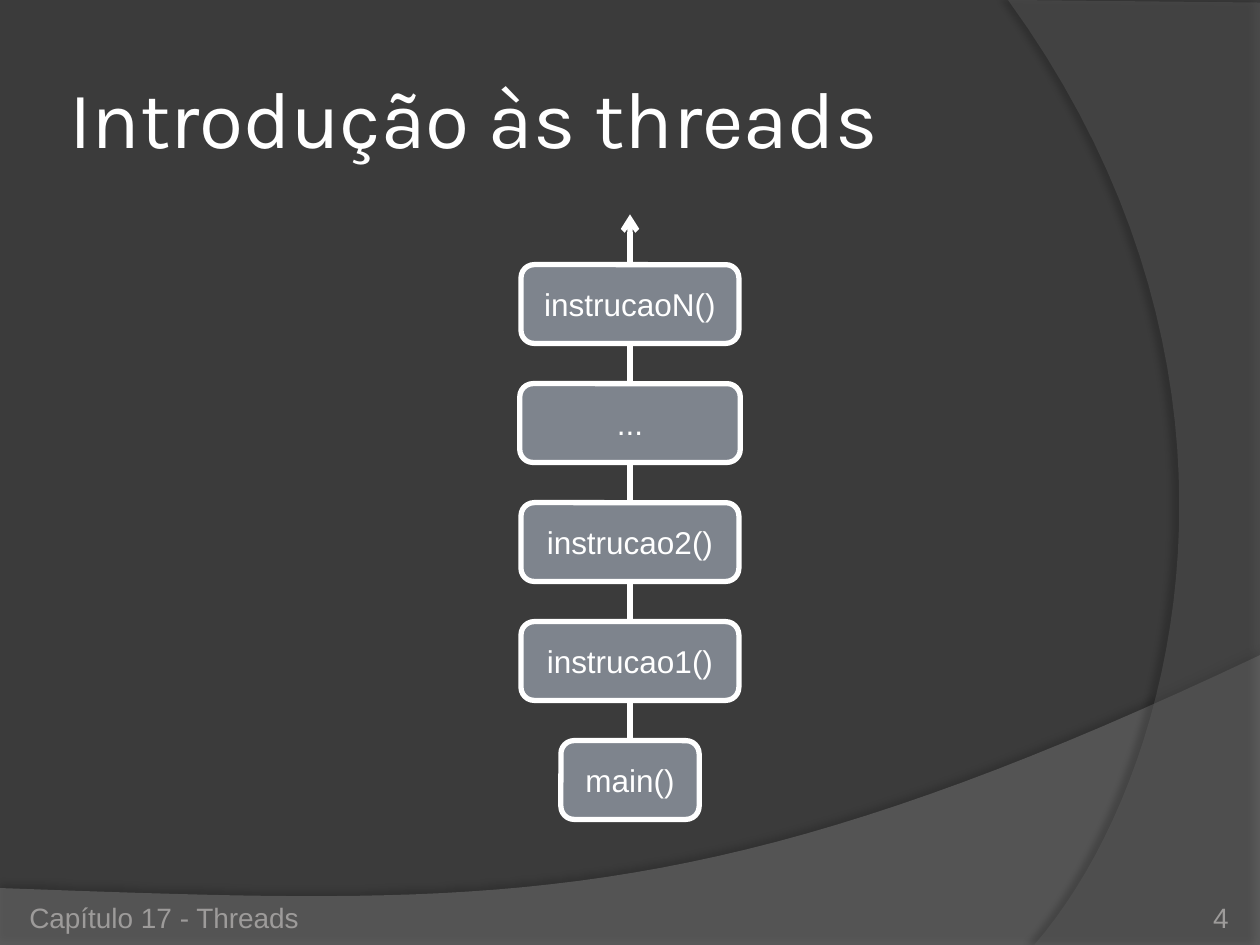
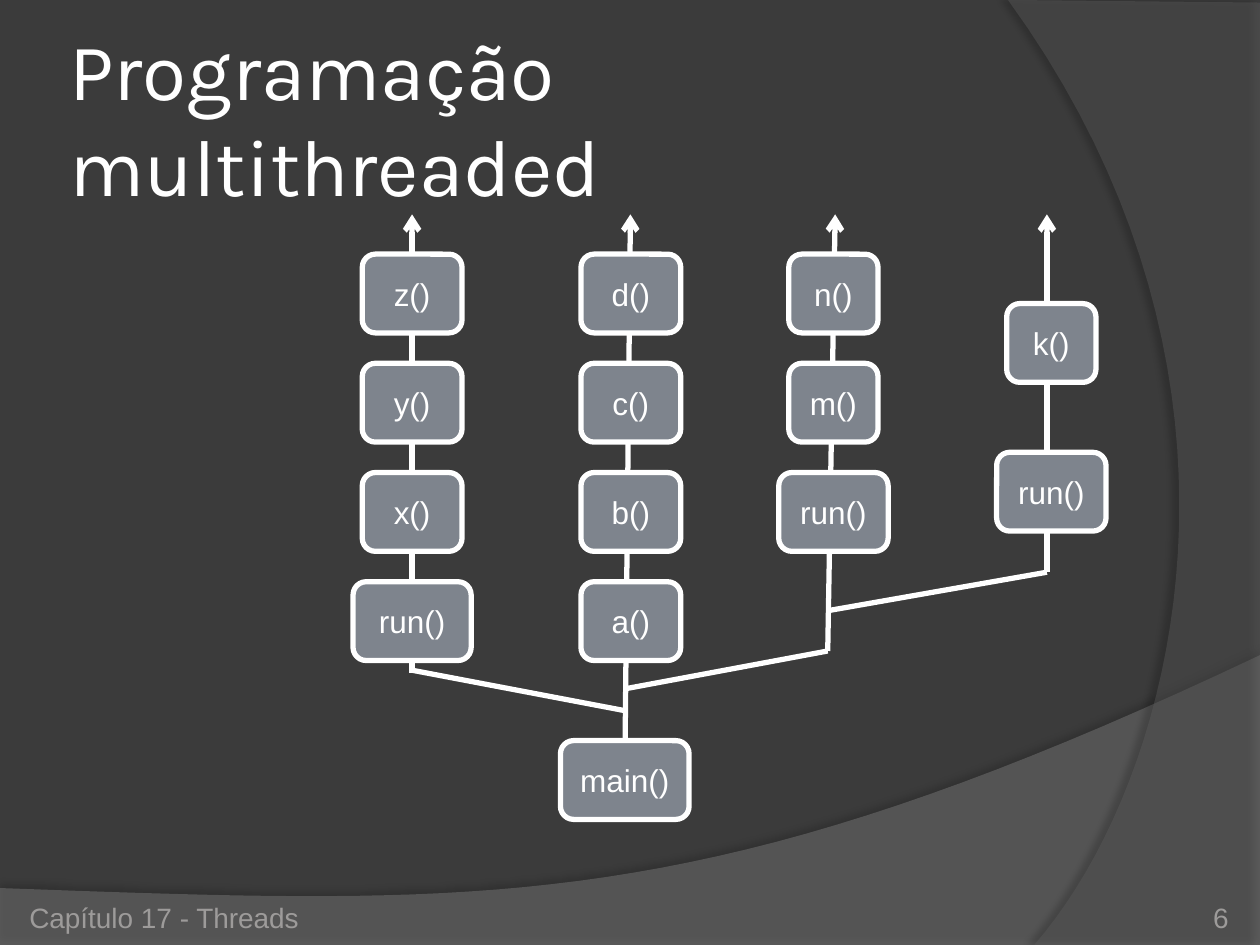
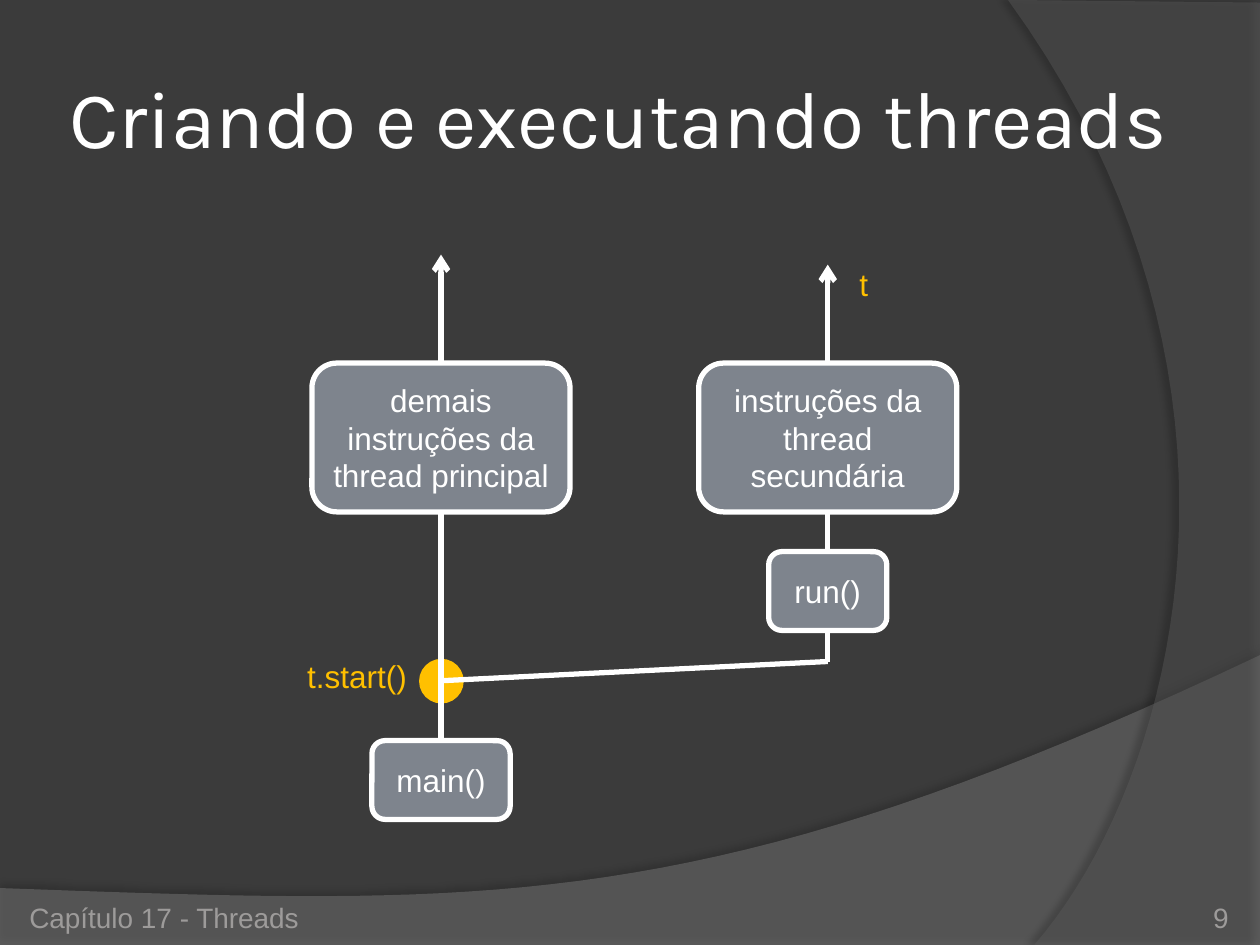
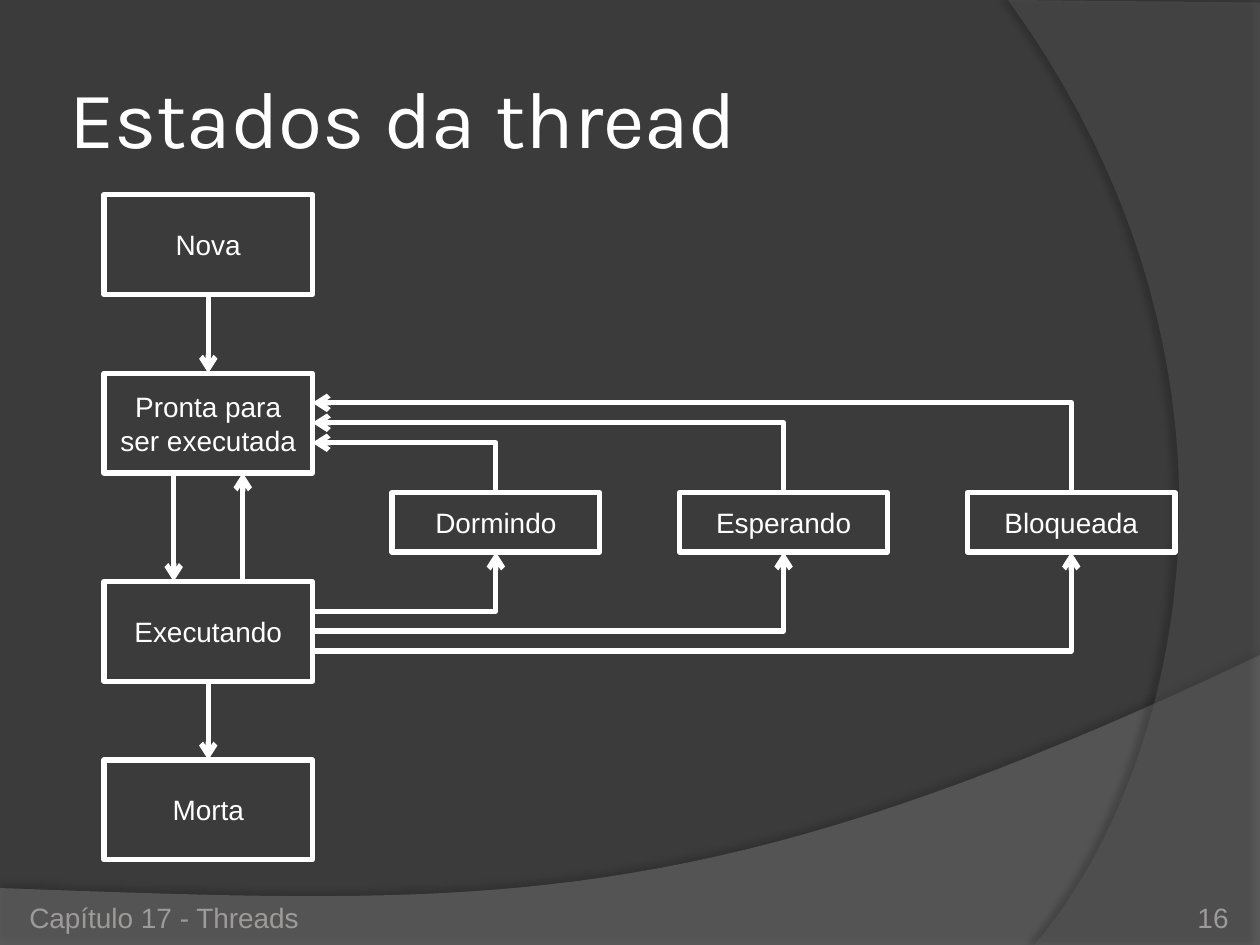
from collections import namedtuple

from lxml.etree import SubElement
from pptx import Presentation
from pptx.dml.color import RGBColor
from pptx.enum.shapes import MSO_CONNECTOR as LINK, MSO_SHAPE as SHAPE
from pptx.enum.text import MSO_ANCHOR as ANCHOR, PP_ALIGN as ALIGN
from pptx.oxml.ns import qn
from pptx.util import Pt

COLORS = {
    "background": "3B3B3B", "wave": "7F7F7F", "arc": "5E5E5E", "shade": "000000",
    "light": "FFFFFF", "call": "7E848D", "footer": "9D9B9A", "accent": "FFC000",
}
LINE_WIDTH = 3
CALL_HEIGHT = 45

Box = namedtuple("Box", "left top width height")
SLIDE = Box(0, 0, 720, 540)
TITLE = Box(36, 21.5, 588, 90)


def rgb(name):
    return RGBColor.from_string(COLORS[name])


def lengths(*values):
    return [Pt(value) for value in values]


# Text

def write(shape, text, font="Arial", size=18, color="light", align=ALIGN.CENTER,
          anchor=ANCHOR.MIDDLE, inset=None):
    frame = shape.text_frame
    frame.word_wrap = True
    frame.vertical_anchor = anchor
    if inset is not None:
        frame.margin_left = frame.margin_right = Pt(inset)
        frame.margin_top = frame.margin_bottom = Pt(inset)
    frame.text = text
    for paragraph in frame.paragraphs:
        paragraph.alignment = align
        paragraph.font.name = font
        paragraph.font.size = Pt(size)
        paragraph.font.color.rgb = rgb(color)


def label(slide, box, text, **style):
    write(slide.shapes.add_textbox(*lengths(*box)), text, **style)


# Shapes and lines

def outlined(slide, kind, box, fill=None, line="light"):
    shape = slide.shapes.add_shape(kind, *lengths(*box))
    shape.shadow.inherit = False
    if fill:
        shape.fill.solid()
        shape.fill.fore_color.rgb = rgb(fill)
    else:
        shape.fill.background()
    shape.line.color.rgb = rgb(line)
    shape.line.width = Pt(LINE_WIDTH)
    return shape


def link(slide, start, end, arrow=None, bent=False):
    """Joins two points; arrow is "tailEnd" (at end) or "headEnd" (at start)."""
    kind = LINK.ELBOW if bent else LINK.STRAIGHT
    connector = slide.shapes.add_connector(kind, *lengths(*start, *end))
    connector.line.color.rgb = rgb("light")
    connector.line.width = Pt(LINE_WIDTH)
    properties = connector.element.spPr
    if bent:
        properties.find(qn("a:prstGeom")).set("prst", "bentConnector2")
    if arrow:
        SubElement(properties.find(qn("a:ln")), qn(f"a:{arrow}"), type="arrow")
    SubElement(properties, qn("a:effectLst"))


# Shared background, title and footer

def curve(start, control1, control2, end, steps=40):
    """Points along a cubic curve, without its start."""
    points = []
    for step in range(1, steps + 1):
        t = step / steps
        weights = (1 - t) ** 3, 3 * t * (1 - t) ** 2, 3 * t ** 2 * (1 - t), t ** 3
        points.append(tuple(
            sum(weight * value for weight, value in zip(weights, axis))
            for axis in zip(start, control1, control2, end)))
    return points


def band(slide, points, color, opacity, shade, distance, direction):
    outline = [lengths(*point) for point in points]
    builder = slide.shapes.build_freeform(*outline[0])
    builder.add_line_segments(outline[1:], close=True)
    shape = builder.convert_to_shape()
    shape.fill.solid()
    shape.fill.fore_color.rgb = rgb(color)
    shape.line.fill.background()
    properties = shape.element.spPr
    fill = properties.find(qn("a:solidFill")).find(qn("a:srgbClr"))
    SubElement(fill, qn("a:alpha"), val=str(opacity * 1000))
    shape.shadow.inherit = False
    shadow = SubElement(
        properties.find(qn("a:effectLst")), qn("a:outerShdw"), blurRad=str(Pt(4)),
        dist=str(Pt(distance)), dir=str(direction * 60000), rotWithShape="0")
    tint = SubElement(shadow, qn("a:srgbClr"), val=COLORS["shade"])
    SubElement(tint, qn("a:alpha"), val=str(shade * 1000))


def new_slide(deck, title, number, title_box=TITLE):
    slide = deck.slides.add_slide(deck.slide_layouts[6])
    slide.background.fill.solid()
    slide.background.fill.fore_color.rgb = rgb("background")
    right, bottom = SLIDE.width, SLIDE.height

    # Wave along the bottom and arc on the right
    wave = curve((right, 374.4), (402.5, 525), (281.5, 517.5), (0, 507.5))
    band(slide, [(0, bottom), (right, bottom), (right, 374.4)] + wave,
         "wave", 45, shade=35, distance=3.5, direction=270)
    arc = curve((591, bottom), (673, 445.5), (733, 216), (576, 0))
    band(slide, [(right, 1.5), (right, bottom), (591, bottom)] + arc,
         "arc", 40, shade=45, distance=4, direction=180)

    label(slide, title_box, title, font="Karla", size=46, align=ALIGN.LEFT, inset=3.6)
    footer = dict(size=16, color="footer", anchor=ANCHOR.BOTTOM, inset=0)
    label(slide, Box(16.75, 505.5, 228, 28.5), "Capítulo 17 - Threads",
          align=ALIGN.LEFT, **footer)
    label(slide, Box(642, 505.5, 60, 28.5), str(number), align=ALIGN.RIGHT, **footer)
    return slide


# Threads

def call(slide, text, center, top, width, height=CALL_HEIGHT):
    box = Box(center - width / 2, top, width, height)
    write(outlined(slide, SHAPE.ROUNDED_RECTANGLE, box, fill="call"), text)


def thread(slide, box, calls, first=0, pitch=0, foot=0, tip=0):
    """An arrow up the middle of the box, with calls stacked from offset first.

    foot and tip move the arrow's ends sideways.
    """
    center = box.left + box.width / 2
    link(slide, (center + foot, box.top + box.height), (center + tip, box.top), "tailEnd")
    for row, (text, width) in enumerate(calls):
        call(slide, text, center, box.top + first + row * pitch, width)


def single_thread(deck):
    slide = new_slide(deck, "Introdução às threads", 4)
    calls = [("instrucaoN()", 124.5), ("...", 126), ("instrucao2()", 124.5),
             ("instrucao1()", 124.5)]
    thread(slide, Box(297, 122.5, 126, 301), calls, first=28.75, pitch=68)
    call(slide, "main()", 360, 423.25, 79)


def many_threads(deck):
    slide = new_slide(deck, "Programação multithreaded", 6)
    top, main_top = 122.5, 423.25
    stack = dict(first=22.75, pitch=62.4)

    # Main thread, then the three it leads to
    thread(slide, Box(332, top, 57, main_top - top),
           [(f"{name}()", 57) for name in "dcba"], foot=-3.25, tip=-0.25, **stack)
    call(slide, "main()", 357, main_top, 73.5)
    thread(slide, Box(201.75, top, 67.5, 262),
           [(f"{name}()", 57) for name in "zyx"] + [("run()", 67.5)], **stack)
    thread(slide, Box(445, top, 62.5, 249.5),
           [("n()", 51), ("m()", 51), ("run()", 62.5)], foot=-3.25, tip=1, **stack)
    thread(slide, Box(569.5, top, 62.5, 204.5), [("k()", 51), ("run()", 62.5)],
           first=51, pitch=85, foot=-2.5, tip=-2.5)

    # Branches
    for start, end in [((235.5, 383), (356.5, 406)), ((473, 372), (356.5, 393.75)),
                       ((598.25, 327), (473, 349))]:
        link(slide, start, end)


def thread_start(deck):
    slide = new_slide(deck, "Criando e executando threads", 9,
                      TITLE._replace(width=659))
    main, second = 252, 473
    block = dict(top=207.5, width=147.5, height=85)

    # Point where the second thread starts
    outlined(slide, SHAPE.OVAL, Box(main - 11, 378, 22.5, 22.5), "accent", "accent")
    label(slide, Box(161.5, 372.5, 85, 28), "t.start()", color="accent")

    # Main thread
    thread(slide, Box(main - 74, 145.5, 148, 277.75), [])
    call(slide, "main()", main, 423.25, 79)
    call(slide, "demais instruções da thread principal", main, **block)

    # Second thread
    thread(slide, Box(second - 74, 151.25, 148, 226.75), [("run()", 67.5)], first=164)
    link(slide, (second, 378), (main, 389))
    call(slide, "instruções da thread secundária", second, **block)
    label(slide, Box(468, 145.5, 51, 34), "t", color="accent")


# Thread states

def state(slide, box, text):
    write(outlined(slide, SHAPE.RECTANGLE, box), text, size=16)


def life_cycle(slide, box, tops):
    """States down the box, at the given offsets, and the arrows between them."""
    height = 57
    names = ["Nova", "Pronta para\nser executada", "Executando", "Morta"]
    new, ready, running, dead = [box.top + offset for offset in tops]
    for name, top in zip(names, (new, ready, running, dead)):
        state(slide, Box(box.left, top, box.width, height), name)
    middle = box.left + box.width / 2
    for x, start, end in [(middle, new + height, ready),
                          (middle - 19.75, ready + height, running),
                          (middle + 19.75, running, ready + height),
                          (middle, running + height, dead)]:
        link(slide, (x, start), (x, end), "tailEnd")


def pauses(slide, box, source_x, leave_y, return_y):
    """Waiting states across the box, each linked both ways with source_x."""
    names = ["Dormindo", "Esperando", "Bloqueada"]
    width, lane = 118.75, 11.4
    pitch = (box.width - width) / (len(names) - 1)
    for index, name in enumerate(names):
        left = box.left + index * pitch
        middle = left + width / 2
        state(slide, Box(left, box.top, width, box.height), name)
        link(slide, (source_x, leave_y + index * lane),
             (middle, box.top + box.height), "tailEnd", bent=True)
        link(slide, (source_x, return_y - index * lane),
             (middle, box.top), "headEnd", bent=True)


def thread_states(deck):
    slide = new_slide(deck, "Estados da thread", 16)
    life_cycle(slide, Box(59.5, 111.25, 119, 380), tops=(0, 102, 221, 323))
    pauses(slide, Box(224, 281.5, 447.5, 34), source_x=178.5, leave_y=349.25,
           return_y=253)


def main():
    deck = Presentation()
    deck.slide_width, deck.slide_height = lengths(SLIDE.width, SLIDE.height)
    for build in (single_thread, many_threads, thread_start, thread_states):
        build(deck)
    deck.save("out.pptx")


if __name__ == "__main__":
    main()
